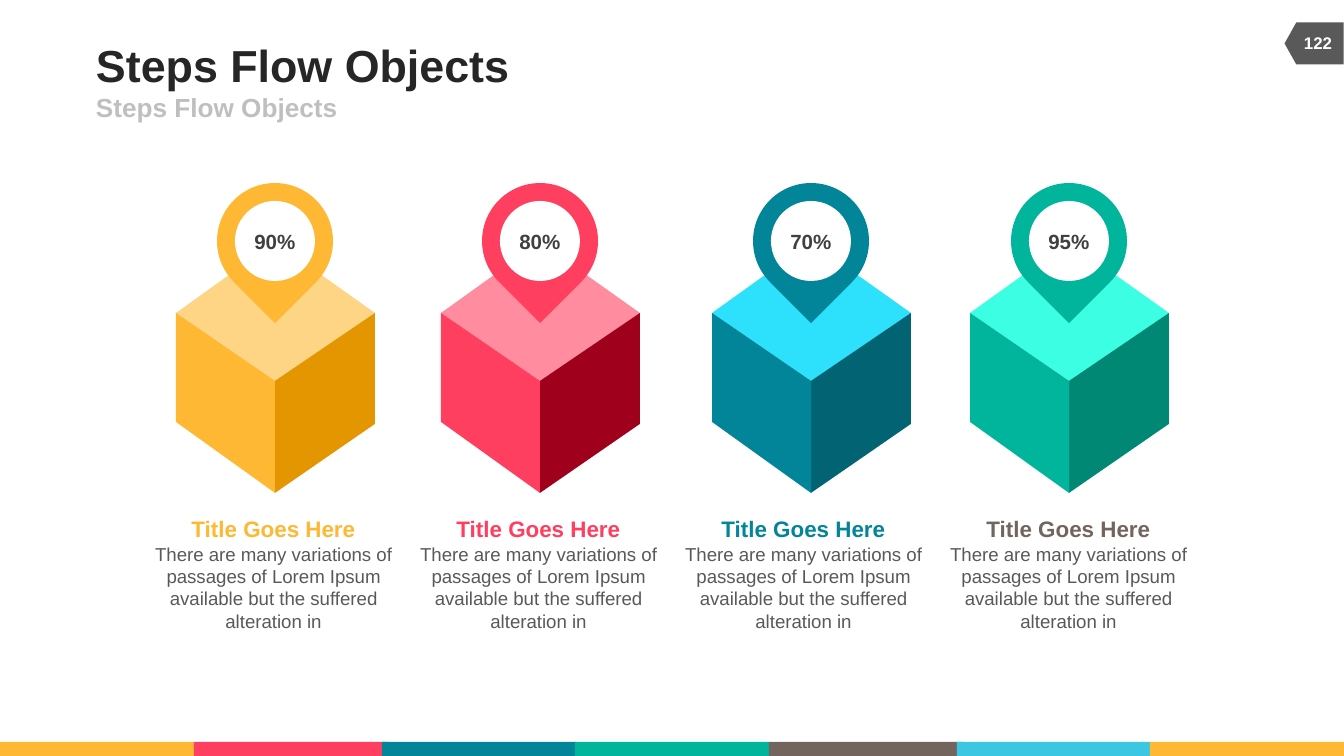
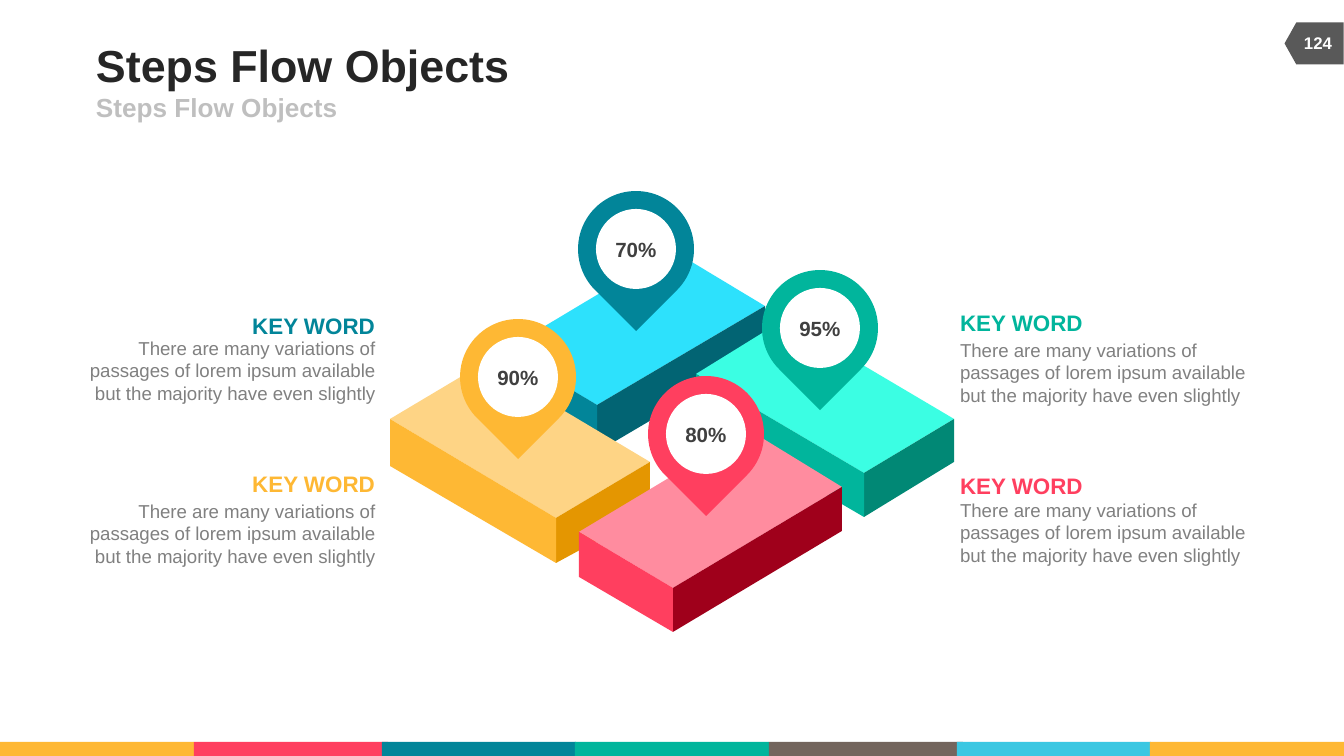
import dataclasses

import pptx
import pptx.dml.color
import pptx.enum.shapes
import pptx.enum.text
import pptx.util

SHAPE = pptx.enum.shapes.MSO_SHAPE
ALIGN = pptx.enum.text.PP_ALIGN
ANCHOR = pptx.enum.text.MSO_ANCHOR
EMU_PER_PX = 914400 / 134.4


@dataclasses.dataclass(frozen=True)
class Theme:
    font: str = "Arial"
    # Block colours: main (left face and pin), top face, right face
    yellow: tuple = ("FEB834", "FED485", "E49601")
    red: tuple = ("FF3F5F", "FF8C9F", "9F001B")
    teal: tuple = ("028599", "2DE1FC", "026473")
    green: tuple = ("01B59C", "3BFEE3", "018875")
    brown: str = "73655D"
    sky: str = "3BC7E2"
    white: str = "FFFFFF"
    title: str = "262626"
    subtitle: str = "BFBFBF"
    tag: str = "595959"
    percent: str = "404040"
    column_text: str = "595959"
    keyword_text: str = "808080"
    # Type sizes in points
    title_size: int = 24
    subtitle_size: int = 14
    heading_size: int = 12
    percent_size: int = 11
    body_size: int = 10
    tag_size: int = 9


T = Theme()

BAND_LEFTS = (0, 194, 382, 575, 769, 957, 1150)
BAND_COLORS = (T.yellow[0], T.red[0], T.teal[0], T.green[0],
               T.brown, T.sky, T.yellow[0])

LOREM_COLUMN = ("There are many variations of passages of Lorem Ipsum "
                "available but the suffered alteration in")
LOREM_KEYWORD = ("There are many variations of passages of lorem ipsum "
                 "available but the majority have even slightly")

# Centre x, block colours, heading colour, percentage
CUBES = (
    (275, T.yellow, T.yellow[0], "90%"),
    (540, T.red, T.red[0], "80%"),
    (811, T.teal, T.teal[0], "70%"),
    (1069, T.green, T.brown, "95%"),
)

# Colours, top corners (west, north, east, south), base y (west, south, east)
SLABS = (
    (T.teal, ((505, 350), (672, 250), (765, 306), (597, 405)), (396, 452, 353)),
    (T.green, ((696, 374), (785, 319), (954, 419), (864, 473)), (419, 517, 462)),
    (T.yellow, ((390, 419), (484, 363), (650, 462), (556, 518)), (466, 563, 512)),
    (T.red, ((579, 532), (749, 430), (842, 487), (673, 588)), (577, 632, 531)),
)

# Centre x, centre y, colour, percentage
SLAB_PINS = (
    (518, 377, T.yellow[0], "90%"),
    (706, 434, T.red[0], "80%"),
    (636, 249, T.teal[0], "70%"),
    (820, 328, T.green[0], "95%"),
)

# Colour, alignment, heading top, body top
KEYWORDS = (
    (T.red[0], ALIGN.LEFT, 472, 499),
    (T.green[0], ALIGN.LEFT, 309, 339),
    (T.yellow[0], ALIGN.RIGHT, 470, 500),
    (T.teal[0], ALIGN.RIGHT, 312, 337),
)


def px(n):
    return pptx.util.Emu(round(n * EMU_PER_PX))


def rgb(color):
    return pptx.dml.color.RGBColor.from_string(color)


def paint(sp, color):
    sp.shadow.inherit = False
    sp.fill.solid()
    sp.fill.fore_color.rgb = rgb(color)
    sp.line.fill.background()


def write(tf, text, *, size, color, bold=False, align=ALIGN.LEFT, new=False):
    p = tf.add_paragraph() if new else tf.paragraphs[0]
    p.alignment = align
    r = p.add_run()
    r.text = text
    r.font.name = T.font
    r.font.size = pptx.util.Pt(size)
    r.font.bold = bold
    r.font.color.rgb = rgb(color)


def set_frame(tf, anchor=ANCHOR.MIDDLE, inset=0, wrap=True):
    tf.word_wrap = wrap
    tf.vertical_anchor = anchor
    tf.margin_left = tf.margin_right = px(inset)
    tf.margin_top = tf.margin_bottom = px(inset / 2)


def add_text(slide, x, y, w, h, **frame):
    tf = slide.shapes.add_textbox(px(x), px(y), px(w), px(h)).text_frame
    set_frame(tf, **frame)
    return tf


def add_shape(slide, kind, x, y, w, h, color, rotation=0):
    sp = slide.shapes.add_shape(kind, px(x), px(y), px(w), px(h))
    sp.rotation = rotation
    paint(sp, color)
    return sp


def add_face(slide, points, color):
    corners = [(px(x), px(y)) for x, y in points]
    builder = slide.shapes.build_freeform(*corners[0], scale=1.0)
    builder.add_line_segments(corners[1:], close=True)
    paint(builder.convert_to_shape(), color)


def add_block(slide, colors, corners, base):
    west, north, east, south = corners
    base_west, base_south, base_east = (
        (corner[0], y) for corner, y in zip((west, south, east), base))
    main, top, right = colors
    add_face(slide, corners, top)
    add_face(slide, (south, east, base_east, base_south), right)
    add_face(slide, (west, south, base_south, base_west), main)


def add_pin(slide, cx, cy, color, percent):
    add_shape(slide, SHAPE.TEAR, cx - 58, cy - 58, 116, 116, color, rotation=135)
    sp = add_shape(slide, SHAPE.OVAL, cx - 40, cy - 40, 80, 80, T.white)
    set_frame(sp.text_frame)
    write(sp.text_frame, percent, size=T.percent_size, color=T.percent,
          bold=True, align=ALIGN.CENTER)


def add_column(slide, x, color):
    tf = add_text(slide, x, 509, 263, 132, anchor=ANCHOR.TOP, inset=13)
    write(tf, "Title Goes Here", size=T.heading_size, color=color,
          bold=True, align=ALIGN.CENTER)
    write(tf, LOREM_COLUMN, size=T.body_size, color=T.column_text,
          align=ALIGN.CENTER, new=True)


def add_keyword(slide, color, align, heading_top, body_top):
    on_left = align == ALIGN.RIGHT
    tf = add_text(slide, 251 if on_left else 960, heading_top, 124, 27, wrap=False)
    write(tf, "KEY WORD", size=T.heading_size, color=color, bold=True, align=align)
    tf = add_text(slide, 89 if on_left else 960, body_top, 286, 67)
    write(tf, LOREM_KEYWORD, size=T.body_size, color=T.keyword_text, align=align)


def new_slide(prs, number):
    slide = prs.slides.add_slide(prs.slide_layouts[6])
    # Footer bands
    for x, color in zip(BAND_LEFTS, BAND_COLORS):
        add_shape(slide, SHAPE.RECTANGLE, x, 742, 194, 14, color)
    # Title and subtitle
    tf = add_text(slide, 96, 39, 829, 52)
    write(tf, "Steps Flow Objects", size=T.title_size, color=T.title, bold=True)
    tf = add_text(slide, 96, 92, 605, 30)
    write(tf, "Steps Flow Objects", size=T.subtitle_size, color=T.subtitle, bold=True)
    # Page tag
    add_shape(slide, SHAPE.FLOWCHART_OFFPAGE_CONNECTOR, 1293, 14, 42, 59,
              T.tag, rotation=90)
    tf = add_text(slide, 1292, 23, 52, 40)
    write(tf, number, size=T.tag_size, color=T.white, bold=True, align=ALIGN.CENTER)
    return slide


def build_cubes(prs):
    slide = new_slide(prs, "122")
    for cx, colors, _, _ in CUBES:
        corners = ((cx - 99, 313), (cx, 242), (cx + 100, 313), (cx, 381))
        add_block(slide, colors, corners, (422, 493, 424))
    for i, (_, _, heading_color, _) in enumerate(CUBES):
        add_column(slide, 142 + 265 * i, heading_color)
    for cx, colors, _, percent in CUBES:
        add_pin(slide, cx, 241, colors[0], percent)


def build_slabs(prs):
    slide = new_slide(prs, "124")
    for slab in SLABS:
        add_block(slide, *slab)
    for pin in SLAB_PINS:
        add_pin(slide, *pin)
    for keyword in KEYWORDS:
        add_keyword(slide, *keyword)


def main():
    prs = pptx.Presentation()
    prs.slide_width, prs.slide_height = px(1344), px(756)
    build_cubes(prs)
    build_slabs(prs)
    prs.save("out.pptx")


if __name__ == "__main__":
    main()
